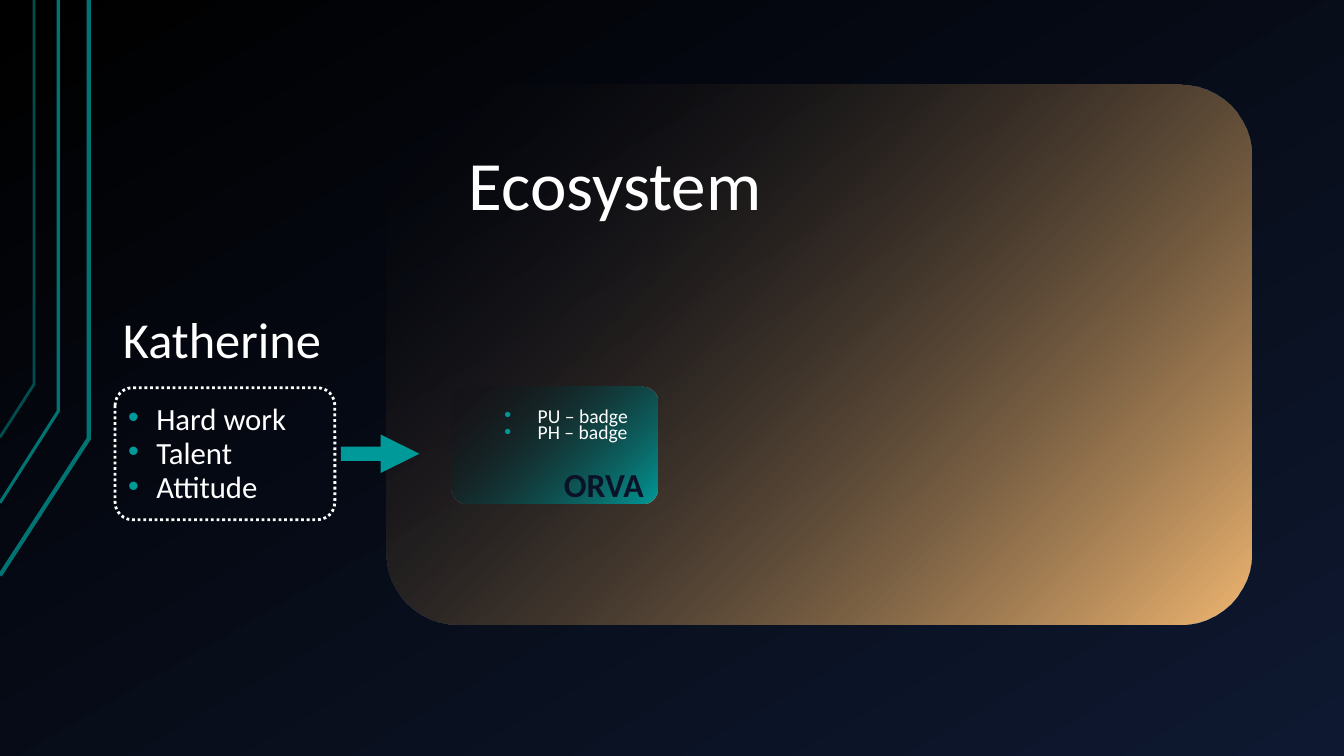
from collections import namedtuple
from dataclasses import dataclass

from lxml.etree import SubElement
from pptx import Presentation
from pptx.dml.color import RGBColor
from pptx.enum.dml import MSO_LINE
from pptx.enum.shapes import MSO_SHAPE as Shape
from pptx.enum.text import PP_ALIGN as Align
from pptx.oxml.ns import qn
from pptx.util import Cm, Pt

Box = namedtuple("Box", "left top width height")


@dataclass(frozen=True)
class Theme:
    """Colours, font, type sizes and shared proportions."""
    font: str = "Calibri"
    black: str = "000000"
    navy: str = "0E1830"
    night: str = "020409"
    ink: str = "091227"
    white: str = "FFFFFF"
    sand: str = "F2B872"
    teal: str = "009999"
    deep_teal: str = "007373"
    dark_teal: str = "004D4D"
    title: float = 49.4
    name: float = 36
    label: float = 24
    trait: float = 22
    badge: float = 14
    corner: float = 0.134
    tight: float = 0.7


THEME = Theme()


def rgb(value):
    """Turn a hex string into a colour."""
    return RGBColor.from_string(value)


def inside(box, left, top, width, height):
    """Give a box whose position is relative to another box."""
    return Box(box.left + left, box.top + top, width, height)


def set_gradient(fill, start, end, angle, clear_start=False):
    """Apply a two-colour gradient, running clockwise by angle."""
    fill.gradient()
    fill.gradient_angle = 360 - angle
    for stop, colour, position in zip(fill.gradient_stops, (start, end), (0, 1)):
        stop.color.rgb = rgb(colour)
        stop.position = position
    if clear_start:
        first_colour = next(fill._xPr.iter(qn("a:srgbClr")))
        SubElement(first_colour, qn("a:alpha"), val="0")


def add_shape(slide, kind, box, adjustments):
    """Add a preset shape without shadow or outline."""
    shape = slide.shapes.add_shape(kind, *map(Cm, box))
    shape.shadow.inherit = False
    shape.line.fill.background()
    for index, value in enumerate(adjustments):
        shape.adjustments[index] = value
    return shape


def add_gradient_card(slide, box, colour):
    """Add a rounded card that fades in towards the lower right."""
    card = add_shape(slide, Shape.ROUNDED_RECTANGLE, box, [THEME.corner])
    set_gradient(card.fill, THEME.night, colour, 45, clear_start=True)


def add_text(slide, box, lines, size, colour=THEME.white, margins=(0.33, 0.18), spacing=THEME.tight):
    """Add a text box and return its paragraphs."""
    frame = slide.shapes.add_textbox(*map(Cm, box)).text_frame
    frame.word_wrap = True
    frame.margin_left = frame.margin_right = Cm(margins[0])
    frame.margin_top = frame.margin_bottom = Cm(margins[1])
    frame.text = "\n".join(lines)
    for paragraph in frame.paragraphs:
        paragraph.line_spacing = spacing
        style_runs(paragraph, size, colour)
    return frame.paragraphs


def style_runs(paragraph, size, colour, bold=False):
    """Set the font of every run in a paragraph."""
    for run in paragraph.runs:
        run.font.name = THEME.font
        run.font.size = Pt(size)
        run.font.bold = bold
        run.font.color.rgb = rgb(colour)


def add_bullet(paragraph, indent, hanging):
    """Give a paragraph a teal bullet and a hanging indent."""
    properties = paragraph._p.get_or_add_pPr()
    properties.set("marL", str(Cm(indent)))
    properties.set("indent", str(-Cm(hanging)))
    colour = SubElement(properties, qn("a:buClr"))
    SubElement(colour, qn("a:srgbClr"), val=THEME.teal)
    SubElement(properties, qn("a:buFont"), typeface="Arial")
    SubElement(properties, qn("a:buChar"), char="•")


def draw_backdrop(slide):
    """Draw the dark background and the bent lines on the left."""
    set_gradient(slide.background.fill, THEME.black, THEME.navy, 60)
    bent_lines = [
        (2.24, 11.05, 14.5, THEME.deep_teal, 3),
        (1.47, 10.36, 12.67, THEME.deep_teal, 2.25),
        (0.86, 9.68, 11.02, THEME.dark_teal, 2),
    ]
    for right, bend, bottom, colour, weight in bent_lines:
        builder = slide.shapes.build_freeform(0, Cm(bottom))
        builder.add_line_segments([(Cm(right), Cm(bend)), (Cm(right), 0)], close=False)
        line = builder.convert_to_shape()
        line.shadow.inherit = False
        line.fill.background()
        line.line.color.rgb = rgb(colour)
        line.line.width = Pt(weight)


def draw_ecosystem(slide, box):
    """Draw the large card with its title."""
    add_gradient_card(slide, box, THEME.sand)
    add_text(slide, inside(box, 1.75, 1.83, 10.54, 2.95), ["Ecosystem"], THEME.title)


def draw_person(slide, box):
    """Draw the dotted frame with the traits and the name above it."""
    frame = add_shape(slide, Shape.ROUNDED_RECTANGLE, box, [THEME.corner])
    frame.fill.background()
    frame.line.color.rgb = rgb(THEME.white)
    frame.line.width = Pt(2)
    frame.line.dash_style = MSO_LINE.ROUND_DOT
    traits = ["Hard work", "Talent", "Attitude"]
    for paragraph in add_text(slide, inside(box, 0, 0.37, box.width, 2.95), traits, THEME.trait):
        paragraph.space_before = Pt(6)
        add_bullet(paragraph, 0.71, 0.84)
    add_text(slide, inside(box, -0.05, -2.14, 6.6, 1.8), ["Katherine"], THEME.name,
             margins=(0.25, 0.13), spacing=1)


def draw_badges(slide, box):
    """Draw the small card with its badges and label."""
    add_gradient_card(slide, box, THEME.teal)
    lines = ["PU – badge", "PH – badge", "ORVA"]
    *badges, label = add_text(slide, inside(box, 1, 0.41, 4.17, 2.5), lines, THEME.badge)
    for paragraph in badges:
        paragraph.alignment = Align.JUSTIFY
        add_bullet(paragraph, 0.84, 0.84)
    label.alignment = Align.RIGHT
    label.space_before = Pt(22.5)
    style_runs(label, THEME.label, THEME.ink, bold=True)


def draw_arrow(slide, box):
    """Draw the block arrow from the person to the ecosystem."""
    arrow = add_shape(slide, Shape.RIGHT_ARROW, box, [0.374, 1.007])
    arrow.fill.solid()
    arrow.fill.fore_color.rgb = rgb(THEME.teal)


def main():
    """Build the slide and save it."""
    presentation = Presentation()
    presentation.slide_width = Cm(33.87)
    presentation.slide_height = Cm(19.05)
    slide = presentation.slides.add_slide(presentation.slide_layouts[6])
    draw_backdrop(slide)
    draw_ecosystem(slide, Box(9.73, 2.13, 21.8, 13.61))
    draw_person(slide, Box(2.9, 9.77, 5.54, 3.33))
    draw_badges(slide, Box(11.38, 9.75, 5.18, 2.95))
    draw_arrow(slide, Box(8.59, 10.95, 1.98, 0.97))
    presentation.save("out.pptx")


if __name__ == "__main__":
    main()
